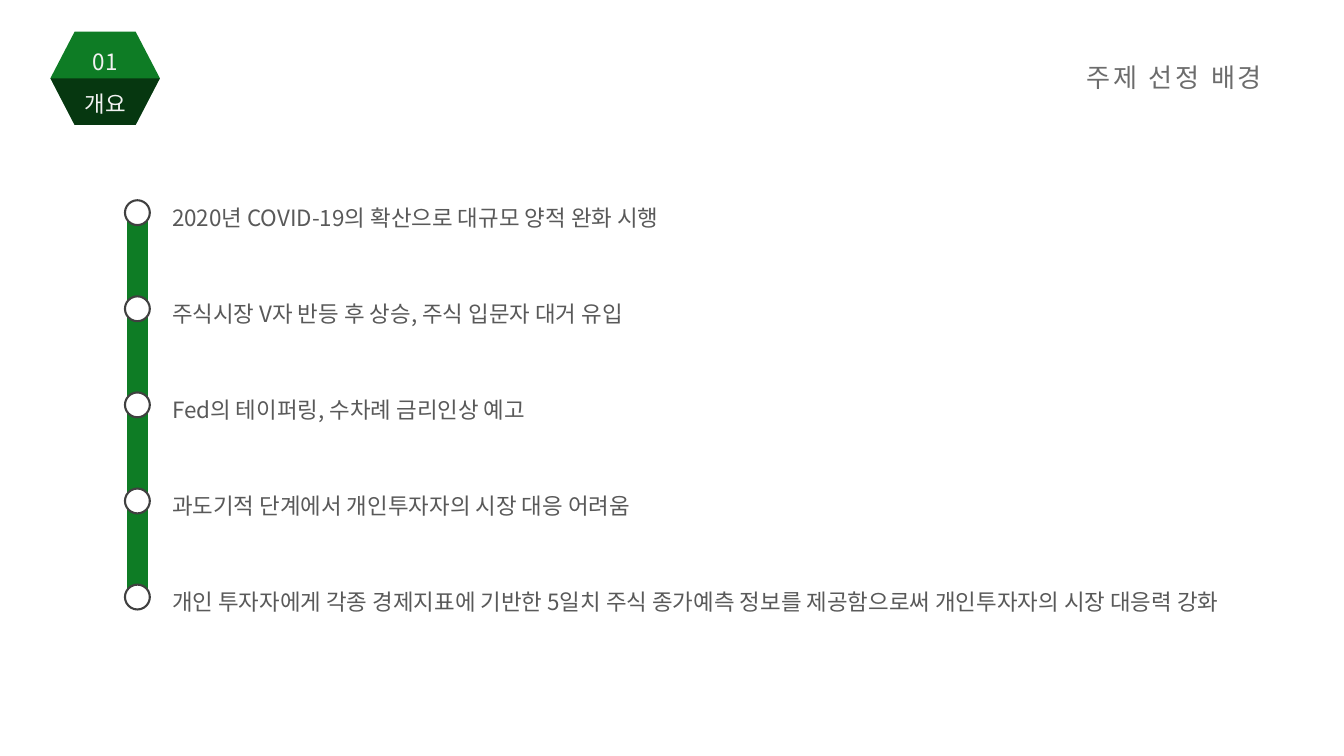
from dataclasses import dataclass

from lxml import etree
from pptx import Presentation
from pptx import util as u
from pptx.dml.color import RGBColor
from pptx.enum import shapes, text
from pptx.oxml.ns import qn


@dataclass(frozen=True)
class Theme:
    font: str = "Noto Sans CJK KR"
    green: str = "0E7C25"
    white: str = "FFFFFF"
    black: str = "000000"
    pale: str = "F2F2F2"
    ring: str = "404040"
    head: str = "6C6C6C"
    body: str = "595959"
    big: int = 28
    mid: int = 24
    lead: float = 1.2  # line height as a multiple of the type size


THEME = Theme()
ITEMS = [
    "2020년 COVID-19의 확산으로 대규모 양적 완화 시행",
    "주식시장 V자 반등 후 상승, 주식 입문자 대거 유입",
    "Fed의 테이퍼링, 수차례 금리인상 예고",
    "과도기적 단계에서 개인투자자의 시장 대응 어려움",
    "개인 투자자에게 각종 경제지표에 기반한 5일치 주식 종가예측 정보를 "
    "제공함으로써 개인투자자의 시장 대응력 강화",
]
PITCH = 1.43


def place(shape, left, top, width, height):
    shape.left, shape.top = u.Inches(left), u.Inches(top)
    shape.width, shape.height = u.Inches(width), u.Inches(height)


def paint(shape, fill, line=None):
    shape.shadow.inherit = False
    shape.fill.solid()
    shape.fill.fore_color.rgb = RGBColor.from_string(fill)
    if line:
        shape.line.color.rgb = RGBColor.from_string(line)
        shape.line.width = u.Pt(2.25)
    else:
        shape.line.fill.background()


def frame(shape):
    """Plain top-anchored text frame that keeps its size."""
    box = shape.text_frame
    box.word_wrap = True
    box.auto_size = text.MSO_AUTO_SIZE.NONE
    box.vertical_anchor = text.MSO_ANCHOR.TOP
    return box


def style(para, size, color, align, lines=1.0, track=0):
    para.alignment = align
    para.line_spacing = u.Pt(size * THEME.lead * lines)
    para.space_before = u.Pt(0)
    for run in para.runs:
        run.font.name = THEME.font
        run.font.size = u.Pt(size)
        run.font.color.rgb = RGBColor.from_string(color)
        props = run.font._element
        etree.SubElement(props, qn("a:ea")).set("typeface", THEME.font)
        if track:
            props.set("spc", str(track * 100))


def badge(slide, left, top, width, height):
    """Section hexagon with a darkened lower half."""
    hexa = slide.shapes.add_shape(
        shapes.MSO_SHAPE.HEXAGON, *map(u.Inches, (left, top, width, height)))
    hexa.adjustments[0] = 0.26
    paint(hexa, THEME.green)

    # Lower half
    cut, mid, base = 0.36, top + height / 2, top + height
    pen = slide.shapes.build_freeform(u.Inches(left), u.Inches(mid))
    pen.add_line_segments([(u.Inches(x), u.Inches(y)) for x, y in (
        (left + width, mid), (left + width - cut, base), (left + cut, base))])
    half = pen.convert_to_shape()
    paint(half, THEME.black)
    tint = half.fill._xPr.find(qn("a:solidFill"))[0]
    etree.SubElement(tint, qn("a:alpha")).set("val", "55000")

    # Number and section name
    for label, drop in (("01", 0), ("개요", 0.62)):
        note = slide.shapes.add_textbox(
            *map(u.Inches, (left, top + drop, width, 0.59)))
        box = frame(note)
        box.text = label
        style(box.paragraphs[0], THEME.mid, THEME.pale,
              text.PP_ALIGN.CENTER, lines=1.5)


def title(slide, left, top, width, height):
    head = slide.shapes.title
    place(head, left, top, width, height)
    box = frame(head)
    box.text = "주제 선정 배경"
    style(box.paragraphs[0], THEME.big, THEME.head,
          text.PP_ALIGN.CENTER, track=3)


def rail(slide, left, top, size):
    """Vertical bar with one dot for each item."""
    thick, span = 0.31, PITCH * (len(ITEMS) - 1) + size
    bar = slide.shapes.add_shape(
        shapes.MSO_SHAPE.ROUNDED_RECTANGLE,
        *map(u.Inches, (left + (size - thick) / 2, top, thick, span)))
    bar.adjustments[0] = 0.5
    paint(bar, THEME.green)
    for i in range(len(ITEMS)):
        dot = slide.shapes.add_shape(
            shapes.MSO_SHAPE.OVAL,
            *map(u.Inches, (left, top + i * PITCH, size, size)))
        paint(dot, THEME.white, THEME.ring)


def points(slide, left, top, width, height):
    """Item list whose paragraph gaps follow the dots."""
    body = slide.placeholders[1]
    place(body, left, top, width, height)
    box = frame(body)
    box.text = "\n".join(ITEMS)
    gap = u.Pt(PITCH * 72 - THEME.mid * THEME.lead)
    for i, para in enumerate(box.paragraphs):
        props = para._p.get_or_add_pPr()
        props.set("marL", "0")
        props.set("indent", "0")
        etree.SubElement(props, qn("a:buNone"))
        style(para, THEME.mid, THEME.body, text.PP_ALIGN.LEFT)
        if i:
            para.space_before = gap


def main():
    deck = Presentation()
    deck.slide_width, deck.slide_height = u.Inches(20), u.Inches(11.25)
    slide = deck.slides.add_slide(deck.slide_layouts[1])
    title(slide, 15.82, 0.87, 3.31, 0.57)
    rail(slide, 1.86, 2.98, 0.37)
    points(slide, 2.46, 2.98, 16.04, 6.62)
    badge(slide, 0.75, 0.47, 1.63, 1.39)
    deck.save("out.pptx")


if __name__ == "__main__":
    main()
